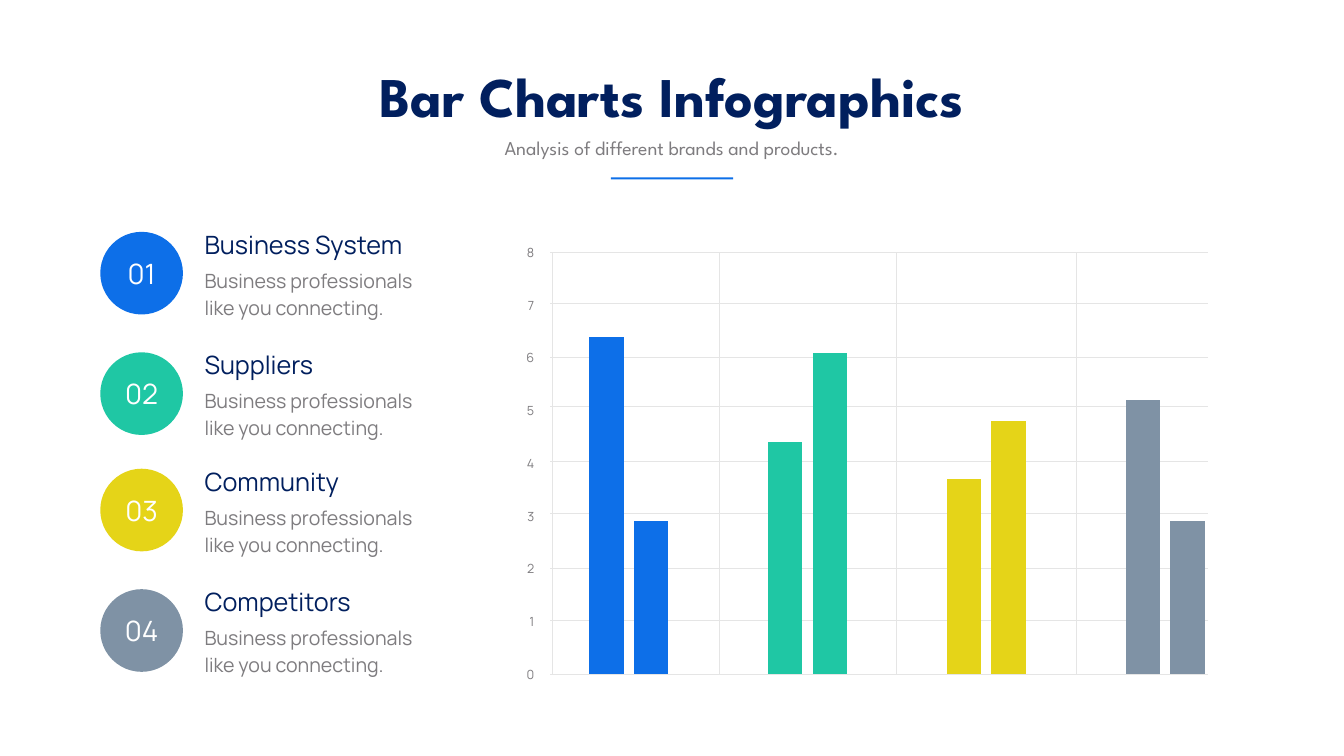
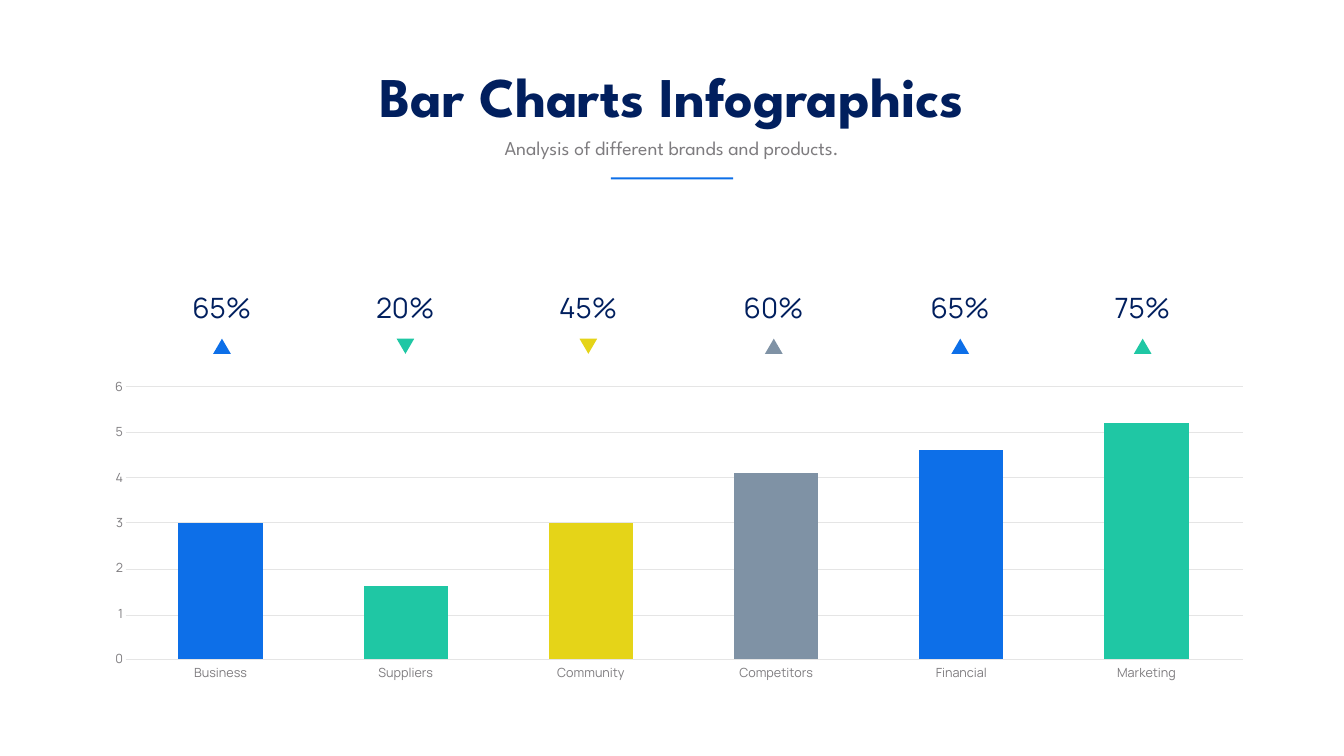
from dataclasses import dataclass

from lxml.etree import SubElement
from pptx import Presentation
from pptx.chart.data import CategoryChartData
from pptx.dml.color import RGBColor
from pptx.enum.chart import XL_CHART_TYPE, XL_TICK_LABEL_POSITION, XL_TICK_MARK
from pptx.enum.shapes import MSO_CONNECTOR, MSO_SHAPE
from pptx.enum.text import MSO_ANCHOR, MSO_AUTO_SIZE, PP_ALIGN
from pptx.oxml import parse_xml
from pptx.oxml.ns import nsdecls, qn
from pptx.util import Inches, Pt


@dataclass(frozen=True)
class Theme:
    navy: str = "011F5E"
    gray: str = "7E7C7F"
    grid: str = "E5E5E5"
    white: str = "FFFFFF"
    blue: str = "0D6FE8"
    teal: str = "1FC7A4"
    yellow: str = "E5D418"
    slate: str = "7F92A5"
    title_font: str = "League Spartan"
    body_font: str = "Manrope"
    title_size: int = 80
    figure_size: int = 40
    heading_size: int = 36
    body_size: int = 28
    axis_size: int = 18


THEME = Theme()
PALETTE = (THEME.blue, THEME.teal, THEME.yellow, THEME.slate)
TITLE = "Bar Charts Infographics"
SUBTITLE = "Analysis of different brands and products."
DESCRIPTION = "Business professionals like you connecting."

GROUPS = (("Business System", 4.6), ("Suppliers", 6.99),
          ("Community", 9.3), ("Competitors", 11.69))
GROUP_SERIES = {"First": (6.4, 4.4, 3.7, 5.2), "Second": (2.9, 6.1, 4.8, 2.9)}
GROUP_LEVELS = (5.01, 6.01, 7.1, 8.07, 9.15, 10.18, 11.27, 12.3, 13.38)
GROUP_DIVIDERS = (10.96, 14.28, 17.79, 21.36)

SECTORS = ("Business", "Suppliers", "Community", "Competitors", "Financial", "Marketing")
SECTOR_SERIES = {"Level": (3.0, 1.6, 3.0, 4.1, 4.6, 5.2)}
SECTOR_LEVELS = (7.67, 8.58, 9.46, 10.37, 11.3, 12.21, 13.07)
CHANGES = (("65%", True, 4.4), ("20%", False, 8.04), ("45%", False, 11.67),
           ("60%", True, 15.35), ("65%", True, 19.05), ("75%", True, 22.67))


def box(left, top, width, height):
    return Inches(left), Inches(top), Inches(width), Inches(height)


def write(shape, text, size, color, font=THEME.body_font, align=PP_ALIGN.LEFT,
          bold=False, line_spacing=None, wrap=True):
    frame = shape.text_frame
    frame.text = text
    frame.word_wrap = wrap
    frame.auto_size = MSO_AUTO_SIZE.NONE
    paragraph = frame.paragraphs[0]
    paragraph.alignment = align
    if line_spacing:
        paragraph.line_spacing = Pt(line_spacing)
    run_font = paragraph.runs[0].font
    run_font.name = font
    run_font.size = Pt(size)
    run_font.bold = bold
    run_font.color.rgb = RGBColor.from_string(color)


def add_text(slide, bounds, text, size, color, **style):
    write(slide.shapes.add_textbox(*box(*bounds)), text, size, color, **style)


def add_filled(slide, preset, bounds, color):
    shape = slide.shapes.add_shape(preset, *box(*bounds))
    shape.shadow.inherit = False
    shape.fill.solid()
    shape.fill.fore_color.rgb = RGBColor.from_string(color)
    shape.line.fill.background()
    return shape


def add_grid_line(slide, start, end, width):
    line = slide.shapes.add_connector(
        MSO_CONNECTOR.STRAIGHT, *[Inches(value) for value in (*start, *end)])
    line.line.color.rgb = RGBColor.from_string(THEME.grid)
    line.line.width = Pt(width)
    SubElement(line.element.spPr, qn("a:effectLst"))


def add_grid(slide, left, right, levels, width, dividers=()):
    for level in levels:
        add_grid_line(slide, (left, level), (right, level), width)
    for divider in dividers:
        add_grid_line(slide, (divider, levels[-1]), (divider, levels[0]), width)


def add_titled_slide(deck):
    slide = deck.slides.add_slide(deck.slide_layouts[5])
    title = slide.shapes.title
    title.left, title.top, title.width, title.height = box(6.92, 1.17, 12.82, 1.45)
    write(title, TITLE, THEME.title_size, THEME.navy, font=THEME.title_font,
          align=PP_ALIGN.CENTER, bold=True, wrap=False)
    title.text_frame.vertical_anchor = MSO_ANCHOR.TOP
    add_text(slide, (8.55, 2.65, 9.56, 0.57), SUBTITLE, THEME.body_size, THEME.gray,
             font=THEME.title_font, align=PP_ALIGN.CENTER)
    add_filled(slide, MSO_SHAPE.RECTANGLE, (12.12, 3.52, 2.43, 0.04), THEME.blue)
    return slide


def place_plot(chart, frame, plot):
    plot_area = chart.element.find(f".//{qn('c:plotArea')}")
    old_layout = plot_area.find(qn("c:layout"))
    if old_layout is not None:
        plot_area.remove(old_layout)
    fractions = {"x": (plot[0] - frame[0]) / frame[2], "y": (plot[1] - frame[1]) / frame[3],
                 "w": plot[2] / frame[2], "h": plot[3] / frame[3]}
    layout = parse_xml(
        f'<c:layout {nsdecls("c")}><c:manualLayout><c:layoutTarget val="inner"/>'
        '<c:xMode val="edge"/><c:yMode val="edge"/>'
        + "".join(f'<c:{key} val="{value:.4f}"/>' for key, value in fractions.items())
        + "</c:manualLayout></c:layout>")
    plot_area.insert(0, layout)
    no_fill = f'<c:spPr {nsdecls("c", "a")}><a:noFill/><a:ln><a:noFill/></a:ln></c:spPr>'
    plot_area.append(parse_xml(no_fill))
    chart.element.find(qn("c:chart")).addnext(parse_xml(no_fill))


def add_bar_chart(slide, frame, plot, categories, series, top_value,
                  gap_width, overlap=0, category_labels=True):
    data = CategoryChartData(number_format="0.0")
    data.categories = categories
    for name, values in series.items():
        data.add_series(name, values)
    chart = slide.shapes.add_chart(XL_CHART_TYPE.COLUMN_CLUSTERED, *box(*frame), data).chart
    chart.has_legend = False
    chart.has_title = False
    chart.font.name = THEME.body_font
    chart.font.size = Pt(THEME.axis_size)
    chart.font.color.rgb = RGBColor.from_string(THEME.gray)

    bars = chart.plots[0]
    bars.vary_by_categories = False
    bars.gap_width = gap_width
    bars.overlap = overlap
    for bar_series in bars.series:
        for index in range(len(categories)):
            fill = bar_series.points[index].format.fill
            fill.solid()
            fill.fore_color.rgb = RGBColor.from_string(PALETTE[index % len(PALETTE)])

    scale = chart.value_axis
    scale.minimum_scale, scale.maximum_scale, scale.major_unit = 0, top_value, 1
    scale.tick_labels.number_format = "0"
    scale.tick_labels.number_format_is_linked = False
    scale.has_major_gridlines = False
    if not category_labels:
        chart.category_axis.tick_label_position = XL_TICK_LABEL_POSITION.NONE
    for axis in (scale, chart.category_axis):
        axis.format.line.fill.background()
        axis.major_tick_mark = XL_TICK_MARK.OUTSIDE
    place_plot(chart, frame, plot)


def add_group(slide, number, name, top, color):
    badge = add_filled(slide, MSO_SHAPE.OVAL, (1.99, top, 1.64, 1.64), color)
    write(badge, f"{number:02}", THEME.figure_size, THEME.white, align=PP_ALIGN.CENTER)
    badge.text_frame.vertical_anchor = MSO_ANCHOR.MIDDLE
    add_text(slide, (3.96, top - 0.1, 4.89, 0.71), name, THEME.heading_size, THEME.navy)
    add_text(slide, (3.96, top + 0.61, 4.89, 1.18), DESCRIPTION, THEME.body_size,
             THEME.gray, line_spacing=38.6)


def add_change(slide, center, percent, rising, color):
    add_text(slide, (center - 1.25, 5.72, 2.5, 0.77), percent, THEME.figure_size,
             THEME.navy, align=PP_ALIGN.CENTER)
    arrow = add_filled(slide, MSO_SHAPE.ISOSCELES_TRIANGLE,
                       (center - 0.17, 6.72, 0.35, 0.3), color)
    arrow.rotation = 0 if rising else 180


def build_groups_slide(deck):
    slide = add_titled_slide(deck)
    for number, ((name, top), color) in enumerate(zip(GROUPS, PALETTE), start=1):
        add_group(slide, number, name, top, color)
    add_grid(slide, 10.92, 23.98, GROUP_LEVELS, 1, GROUP_DIVIDERS)
    add_bar_chart(slide, (9.9, 4.6, 15.2, 9.2), (10.7, 5.01, 14.2, 8.37),
                  [name for name, _ in GROUPS], GROUP_SERIES, 8,
                  gap_width=286, overlap=-29, category_labels=False)


def build_sectors_slide(deck):
    slide = add_titled_slide(deck)
    add_grid(slide, 2.5, 24.67, SECTOR_LEVELS, 0.5)
    add_bar_chart(slide, (1.6, 7.3, 23.2, 6.6), (2.54, 7.67, 22.05, 5.4), SECTORS,
                  SECTOR_SERIES, 6, gap_width=120)
    for index, (percent, rising, center) in enumerate(CHANGES):
        add_change(slide, center, percent, rising, PALETTE[index % len(PALETTE)])


def main():
    deck = Presentation()
    deck.slide_width, deck.slide_height = Inches(26.67), Inches(15)
    build_groups_slide(deck)
    build_sectors_slide(deck)
    deck.save("out.pptx")


if __name__ == "__main__":
    main()
